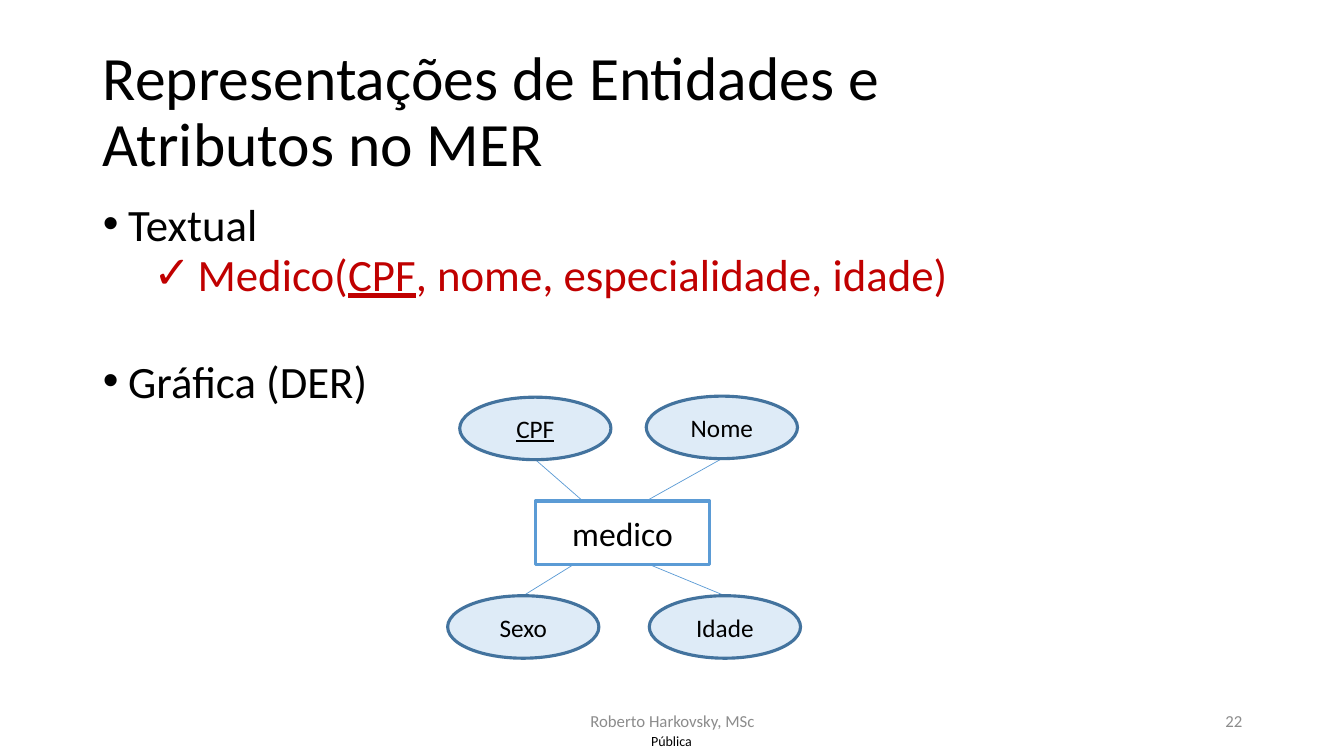
from typing import NamedTuple

from lxml import etree
from pptx import Presentation
from pptx.dml.color import RGBColor
from pptx.enum.shapes import MSO_CONNECTOR, MSO_SHAPE
from pptx.enum.text import MSO_ANCHOR, MSO_AUTO_SIZE, PP_ALIGN
from pptx.oxml.ns import qn
from pptx.util import Inches, Pt

LEFT, CENTER, RIGHT = PP_ALIGN.LEFT, PP_ALIGN.CENTER, PP_ALIGN.RIGHT
TOP, MIDDLE = MSO_ANCHOR.TOP, MSO_ANCHOR.MIDDLE
NO_FIT = MSO_AUTO_SIZE.NONE
OVAL, RECT = MSO_SHAPE.OVAL, MSO_SHAPE.RECTANGLE
STRAIGHT = MSO_CONNECTOR.STRAIGHT

FONT = "Calibri"
COLORS = {
    "text": "000000", "accent": "C00000", "muted": "8C8C8C", "white": "FFFFFF",
    "blue": "5B9BD5", "oval_fill": "DEEBF7", "oval_line": "43739E",
}


class Box(NamedTuple):
    """Left, top, width and height in inches."""
    left: float
    top: float
    width: float
    height: float


class Attribute(NamedTuple):
    """An attribute oval with the line that ties it to the entity."""
    name: str
    left: float
    top: float
    entity_x: float
    is_key: bool = False


class Bullet(NamedTuple):
    """A list item: text runs with underline flags, and its layout."""
    runs: tuple
    level: int
    char: str
    margin: float
    hang: float
    before: float
    color: str


class Label(NamedTuple):
    """A small text at the foot of the slide."""
    text: str
    box: Box
    size: float
    color: str
    align: PP_ALIGN


ENTITY = Box(5.31, 4.97, 1.73, 0.63)
OVAL_W, OVAL_H = 1.5, 0.62
ATTRIBUTES = [
    Attribute("CPF", 4.56, 3.94, 5.78, True),
    Attribute("Nome", 6.41, 3.93, 6.41),
    Attribute("Sexo", 4.44, 5.91, 5.69),
    Attribute("Idade", 6.44, 5.91, 6.44),
]
BULLETS = [
    Bullet((("Textual", False),), 0, "•", 0.25, 0.25, 10, "text"),
    Bullet((("Medico(", False), ("CPF", True),
            (", nome, especialidade, idade)", False)),
           1, "✓", 0.94, 0.44, 5, "accent"),
    Bullet((("Gráfica (DER)", False),), 0, "•", 0.25, 0.25, 46, "text"),
]
LABELS = [
    Label("Roberto Harkovsky, MSc", Box(4.42, 6.95, 4.5, 0.4), 12, "muted", CENTER),
    Label("22", Box(9.42, 6.95, 3, 0.4), 12, "muted", RIGHT),
    Label("Pública", Box(6.31, 7.21, 0.7, 0.29), 10, "text", CENTER),
]


def rgb(name: str) -> RGBColor:
    """Look up a named colour."""
    return RGBColor.from_string(COLORS[name])


def apply(target, formats: dict) -> None:
    """Set each attribute in a dict of format values."""
    for name, value in formats.items():
        setattr(target, name, value)


def place(sp, box: Box) -> None:
    """Move and size a shape."""
    apply(sp, {name: Inches(value) for name, value in box._asdict().items()})


def add_run(p, text: str, size: float, color: str, underline: bool = False) -> None:
    """Add a formatted run to a paragraph."""
    r = p.add_run()
    r.text = text
    apply(r.font, {"name": FONT, "size": Pt(size), "underline": underline})
    r.font.color.rgb = rgb(color)


def set_frame(tf, anchor: MSO_ANCHOR) -> None:
    """Make a text frame wrap at a fixed size."""
    apply(tf, {"word_wrap": True, "auto_size": NO_FIT, "vertical_anchor": anchor})


def write_line(sp, text: str, size: float, color: str = "text",
               align: PP_ALIGN = CENTER, underline: bool = False) -> None:
    """Write one vertically centred paragraph in a shape."""
    tf = sp.text_frame
    set_frame(tf, MIDDLE)
    p = tf.paragraphs[0]
    p.alignment = align
    add_run(p, text, size, color, underline)


def add_node(s, kind: MSO_SHAPE, box: Box, fill: str, line: str):
    """Add an outlined shape without shadow."""
    sp = s.shapes.add_shape(kind, *map(Inches, box))
    sp.shadow.inherit = False
    sp.fill.solid()
    sp.fill.fore_color.rgb = rgb(fill)
    sp.line.color.rgb = rgb(line)
    sp.line.width = Pt(2.25)
    return sp


def add_attribute(s, attr: Attribute) -> None:
    """Add an attribute oval and its line to the entity."""
    above = attr.top < ENTITY.top
    oval_y = attr.top + OVAL_H if above else attr.top
    entity_y = ENTITY.top if above else ENTITY.top + ENTITY.height
    ends = (attr.left + OVAL_W / 2, oval_y, attr.entity_x, entity_y)
    line = s.shapes.add_connector(STRAIGHT, *map(Inches, ends))
    line.line.color.rgb = rgb("blue")
    line.line.width = Pt(0.5)
    etree.SubElement(line._element.spPr, qn("a:effectLst"))
    sp = add_node(s, OVAL, Box(attr.left, attr.top, OVAL_W, OVAL_H),
                  "oval_fill", "oval_line")
    write_line(sp, attr.name, 18, underline=attr.is_key)


def add_bullet(p, item: Bullet) -> None:
    """Fill a list paragraph and give it a bullet."""
    apply(p, {"level": item.level, "line_spacing": 0.8, "alignment": LEFT,
              "space_before": Pt(item.before), "space_after": Pt(0)})
    pPr = p._p.get_or_add_pPr()
    pPr.set("marL", str(Inches(item.margin)))
    pPr.set("indent", str(-Inches(item.hang)))
    etree.SubElement(pPr, qn("a:buFont"), typeface="Arial")
    etree.SubElement(pPr, qn("a:buChar"), char=item.char)
    for text, underline in item.runs:
        add_run(p, text, 32, item.color, underline)


def add_label(s, label: Label) -> None:
    """Add a text at the foot of the slide."""
    sp = s.shapes.add_textbox(*map(Inches, label.box))
    write_line(sp, label.text, label.size, label.color, label.align)
    apply(sp.text_frame, dict.fromkeys(("margin_top", "margin_bottom"), 0))


def main() -> None:
    """Build and save the slide."""
    prs = Presentation()
    apply(prs, {"slide_width": Inches(13.33), "slide_height": Inches(7.5)})
    s = prs.slides.add_slide(prs.slide_layouts[1])

    title, body = s.placeholders
    place(title, Box(0.92, 0.4, 9.37, 1.45))
    write_line(title, "Representações de Entidades e Atributos no MER", 44, align=LEFT)
    title.text_frame.paragraphs[0].line_spacing = 0.9

    place(body, Box(0.92, 2, 11.5, 2.25))
    tf = body.text_frame
    set_frame(tf, TOP)
    for i, item in enumerate(BULLETS):
        add_bullet(tf.add_paragraph() if i else tf.paragraphs[0], item)

    for attr in ATTRIBUTES:
        add_attribute(s, attr)
    write_line(add_node(s, RECT, ENTITY, "white", "blue"), "medico", 24)
    for label in LABELS:
        add_label(s, label)
    prs.save("out.pptx")


main()
